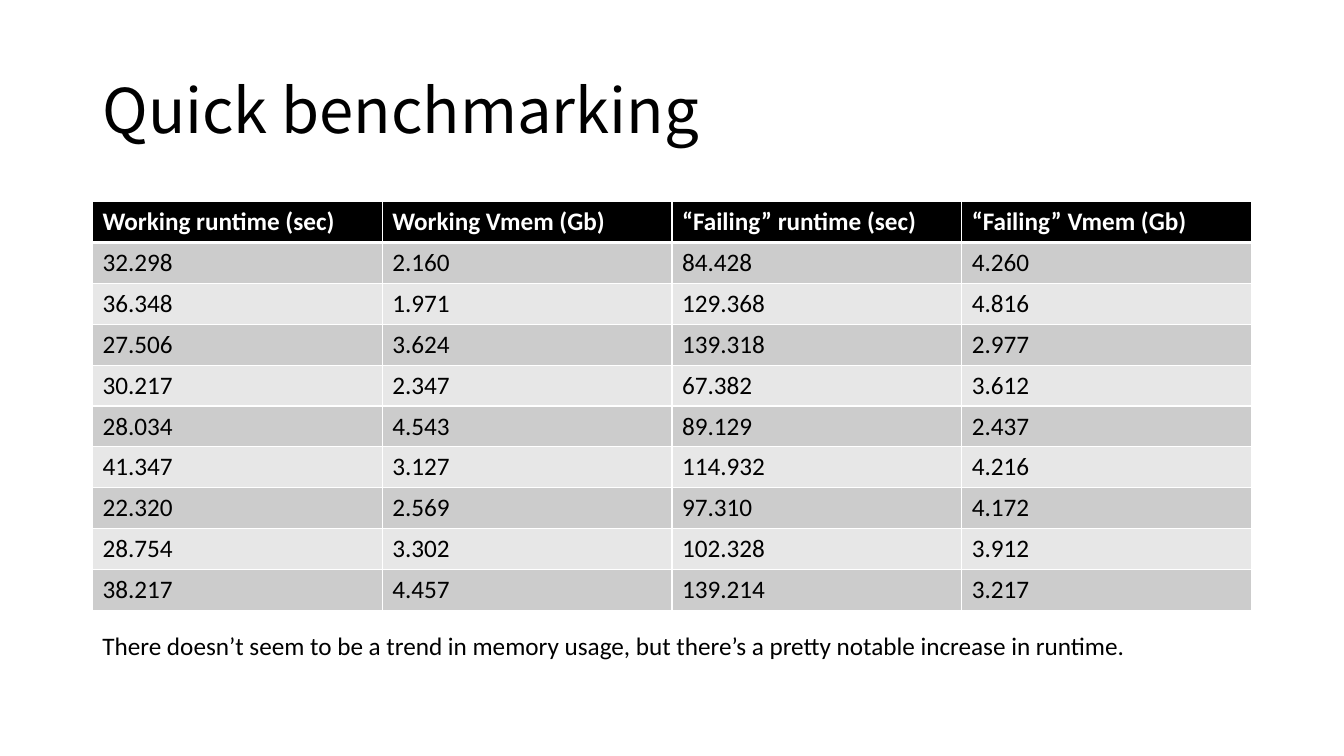
from dataclasses import dataclass

import pptx
import pptx.dml.color
import pptx.enum.text
import pptx.oxml
import pptx.oxml.ns
import pptx.util
from pptx.util import Cm

BLACK = pptx.dml.color.RGBColor(0x00, 0x00, 0x00)
WHITE = pptx.dml.color.RGBColor(0xFF, 0xFF, 0xFF)
DARK_BAND = pptx.dml.color.RGBColor(0xCC, 0xCC, 0xCC)
LIGHT_BAND = pptx.dml.color.RGBColor(0xE7, 0xE7, 0xE7)

LEFT = Cm(2.33)
CONTENT_WIDTH = Cm(29.21)
ROW_HEIGHT = Cm(1.03)

HEADINGS = (
    "Working runtime (sec)",
    "Working Vmem (Gb)",
    "“Failing” runtime (sec)",
    "“Failing” Vmem (Gb)",
)
MEASUREMENTS = (
    (32.298, 2.160, 84.428, 4.260),
    (36.348, 1.971, 129.368, 4.816),
    (27.506, 3.624, 139.318, 2.977),
    (30.217, 2.347, 67.382, 3.612),
    (28.034, 4.543, 89.129, 2.437),
    (41.347, 3.127, 114.932, 4.216),
    (22.320, 2.569, 97.310, 4.172),
    (28.754, 3.302, 102.328, 3.912),
    (38.217, 4.457, 139.214, 3.217),
)


@dataclass(frozen=True)
class TextStyle:
    font: str
    size: int
    color: pptx.dml.color.RGBColor = BLACK
    bold: bool = False


@dataclass(frozen=True)
class Caption:
    text: str
    top: int
    width: int
    height: int
    style: TextStyle
    wrap: bool
    anchor: pptx.enum.text.MSO_ANCHOR
    line_spacing: float = 1.0


@dataclass(frozen=True)
class RowStyle:
    fill: pptx.dml.color.RGBColor
    text: TextStyle
    top_border: int = 1
    bottom_border: int = 1


TITLE_STYLE = TextStyle("Noto Sans CJK JP", 44)
BODY_STYLE = TextStyle("Calibri", 18)
HEADER_ROW = RowStyle(BLACK, TextStyle("Calibri", 18, WHITE, True), bottom_border=3)

CAPTIONS = (
    Caption("Quick benchmarking", Cm(1.01), CONTENT_WIDTH, Cm(3.68), TITLE_STYLE,
            True, pptx.enum.text.MSO_ANCHOR.MIDDLE, 0.9),
    Caption("There doesn’t seem to be a trend in memory usage, "
            "but there’s a pretty notable increase in runtime.",
            Cm(15.75), Cm(26.47), Cm(1.03), BODY_STYLE,
            False, pptx.enum.text.MSO_ANCHOR.TOP),
)


def style_paragraph(paragraph, style: TextStyle) -> None:
    font = paragraph.font
    font.name = style.font
    font.size = pptx.util.Pt(style.size)
    font.bold = style.bold
    font.color.rgb = style.color


def add_caption(slide, caption: Caption) -> None:
    frame = slide.shapes.add_textbox(
        LEFT, caption.top, caption.width, caption.height).text_frame
    frame.word_wrap = caption.wrap
    frame.vertical_anchor = caption.anchor
    frame.text = caption.text
    paragraph = frame.paragraphs[0]
    paragraph.line_spacing = caption.line_spacing
    style_paragraph(paragraph, caption.style)


def add_borders(cell, row_style: RowStyle) -> None:
    """Draw white cell borders; call before the fill is set."""
    properties = cell._tc.get_or_add_tcPr()
    widths = {"L": 1, "R": 1, "T": row_style.top_border, "B": row_style.bottom_border}
    for side, points in widths.items():
        properties.append(pptx.oxml.parse_xml(
            f'<a:ln{side} {pptx.oxml.ns.nsdecls("a")} w="{pptx.util.Pt(points)}">'
            f'<a:solidFill><a:srgbClr val="{WHITE}"/></a:solidFill></a:ln{side}>'))


def fill_row(row, texts: tuple[str, ...], row_style: RowStyle) -> None:
    row.height = ROW_HEIGHT
    for cell, text in zip(row.cells, texts):
        add_borders(cell, row_style)
        cell.fill.solid()
        cell.fill.fore_color.rgb = row_style.fill
        cell.text = text
        style_paragraph(cell.text_frame.paragraphs[0], row_style.text)


def add_benchmark_table(slide) -> None:
    row_count = len(MEASUREMENTS) + 1
    table = slide.shapes.add_table(
        row_count, len(HEADINGS), LEFT, Cm(5.08),
        CONTENT_WIDTH, ROW_HEIGHT * row_count).table
    fill_row(table.rows[0], HEADINGS, HEADER_ROW)
    for index, values in enumerate(MEASUREMENTS):
        band = LIGHT_BAND if index % 2 else DARK_BAND
        top_border = 1 if index else HEADER_ROW.bottom_border
        fill_row(table.rows[index + 1], tuple(f"{value:.3f}" for value in values),
                 RowStyle(band, BODY_STYLE, top_border))


def main() -> None:
    presentation = pptx.Presentation()
    presentation.slide_width = Cm(33.87)
    presentation.slide_height = Cm(19.05)
    slide = presentation.slides.add_slide(presentation.slide_layouts[6])
    for caption in CAPTIONS:
        add_caption(slide, caption)
    add_benchmark_table(slide)
    presentation.save("out.pptx")


if __name__ == "__main__":
    main()
